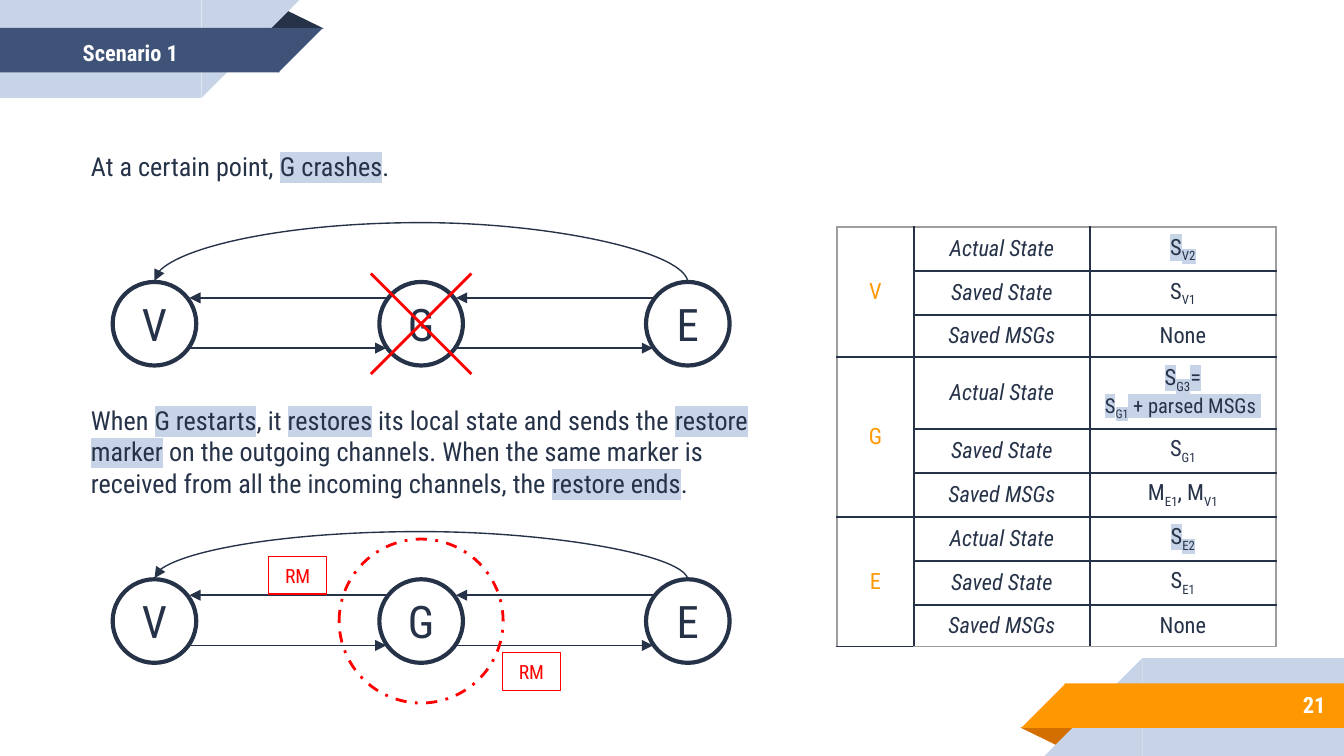
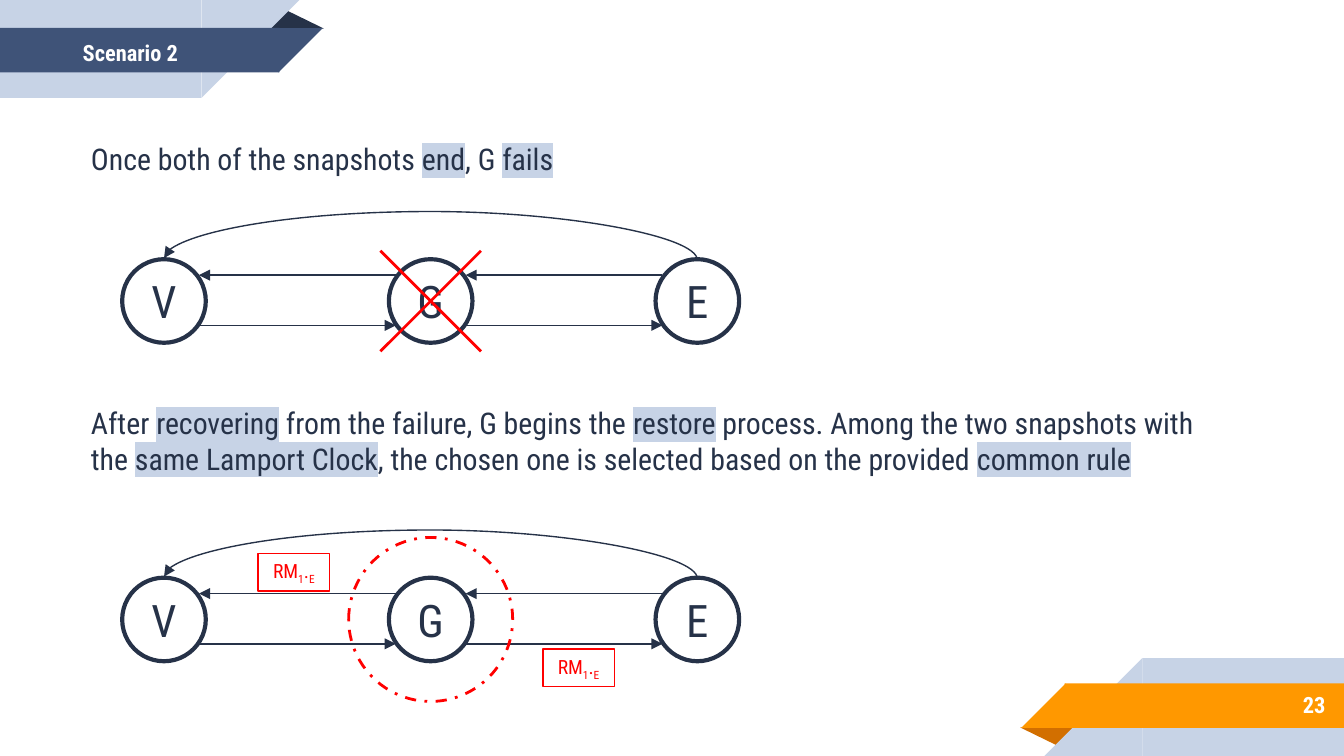
from dataclasses import dataclass
from itertools import pairwise

from lxml import etree
from pptx import Presentation
from pptx.dml.color import RGBColor
from pptx.enum.dml import MSO_LINE
from pptx.enum.shapes import MSO_CONNECTOR, MSO_SHAPE
from pptx.enum.text import MSO_ANCHOR, MSO_AUTO_SIZE, PP_ALIGN
from pptx.oxml.ns import qn
from pptx.shapes.autoshape import Shape
from pptx.shapes.connector import Connector
from pptx.slide import Slide
from pptx.table import _Cell
from pptx.text.text import TextFrame
from pptx.util import Cm, Pt

RECT, OVAL = MSO_SHAPE.RECTANGLE, MSO_SHAPE.OVAL
WEDGE, FOLD = MSO_SHAPE.RIGHT_TRIANGLE, MSO_SHAPE.ISOSCELES_TRIANGLE
LINE, CURVE = MSO_CONNECTOR.STRAIGHT, MSO_CONNECTOR.CURVE
LEFT, MID, RIGHT = PP_ALIGN.LEFT, PP_ALIGN.CENTER, PP_ALIGN.RIGHT
CENTRE, TOP = MSO_ANCHOR.MIDDLE, MSO_ANCHOR.TOP
FIXED, DASH = MSO_AUTO_SIZE.NONE, MSO_LINE.DASH_DOT

FONT = "Roboto Condensed"
NAVY, BLUE, PALE = "263248", "3F5378", "C7D3E6"
GOLD, RUST, RED = "FF9800", "D26F00", "FF0000"
GREY, WHITE = "9E9E9E", "FFFFFF"

WIDE, HIGH = 25.4, 14.29
STEP, DISC, RING, CROSS = 5.04, 1.58, 3.1, 0.95


@dataclass(frozen=True)
class Box:
    left: float
    top: float
    width: float
    height: float

    def sizes(self) -> tuple[Cm, Cm, Cm, Cm]:
        return Cm(self.left), Cm(self.top), Cm(self.width), Cm(self.height)

    def turned(self) -> "Box":
        return Box(WIDE - self.left - self.width, HIGH - self.top - self.height,
                   self.width, self.height)


@dataclass(frozen=True)
class Style:
    size: float
    colour: str = NAVY
    align: PP_ALIGN = LEFT
    bold: bool = False
    italic: bool = False


@dataclass(frozen=True)
class Band:
    kind: MSO_SHAPE
    box: Box
    head: str
    foot: str


@dataclass(frozen=True)
class Note:
    box: Box
    text: str


@dataclass(frozen=True)
class Net:
    left: float
    top: float
    lift: float
    down: bool


@dataclass(frozen=True)
class Scene:
    title: str
    page: str
    size: float
    notes: tuple[Note, ...]
    nets: tuple[Net, ...]
    marks: tuple[Note, ...]
    states: tuple[tuple[str, tuple[str, ...]], ...] = ()


BANDS = (
    Band(FOLD, Box(5.03, 0.18, 1.09, 0.36), NAVY, RUST),
    Band(RECT, Box(0, 0, 3.81, 1.85), PALE, PALE),
    Band(WEDGE, Box(3.81, 0, 1.85, 1.85), PALE, PALE),
    Band(RECT, Box(0, 0.53, 5.28, 0.84), BLUE, GOLD),
    Band(WEDGE, Box(5.26, 0.53, 0.84, 0.84), BLUE, GOLD),
)
KINDS = ("Actual State", "Saved State", "Saved MSGs")
SCENES = (
    Scene(
        "Scenario 1", "21", 14,
        (Note(Box(1.47, 2.72, 21.77, 0.86), "At a certain point, |G crashes|."),
         Note(Box(1.47, 7.52, 13.82, 2.06),
              "When |G restarts|, it |restores| its local state and sends the "
              "|restore marker| on the outgoing channels. When the same marker is "
              "received from all the incoming channels, the |restore ends|.")),
        (Net(2.13, 5.33, 1.14, True), Net(2.13, 10.95, 0.92, False)),
        (Note(Box(5.08, 10.52, 1.09, 0.71), "RM"),
         Note(Box(9.5, 12.34, 1.09, 0.71), "RM")),
        (("V", ("|S_V2_|", "S_V1_", "None")),
         ("G", ("|S_G3_=|\n|S_G1_ + parsed MSGs |", "S_G1_", "M_E1_, M_V1_")),
         ("E", ("|S_E2_|", "S_E1_", "None"))),
    ),
    Scene(
        "Scenario 2", "23", 16,
        (Note(Box(1.47, 2.54, 21.77, 0.94),
              "Once both of the snapshots |end|, G |fails|"),
         Note(Box(1.47, 7.52, 21.77, 1.63),
              "After |recovering| from the failure, G begins the |restore| process. "
              "Among the two snapshots with the |same Lamport Clock|, the chosen one "
              "is selected based on the provided |common rule|")),
        (Net(2.31, 4.9, 0.92, True), Net(2.31, 10.92, 0.92, False)),
        (Note(Box(4.88, 10.46, 1.35, 0.71), "RM_1_._E_"),
         Note(Box(10.26, 12.27, 1.35, 0.71), "RM_1_._E_")),
    ),
)


def paint(code: str) -> RGBColor:
    return RGBColor.from_string(code)


def write(frame: TextFrame, text: str, style: Style) -> None:
    para = frame.paragraphs[0]
    para.alignment = style.align
    for row, line in enumerate(text.split("\n")):
        if row:
            para.add_line_break()
        for lit, part in enumerate(line.split("|")):
            for low, piece in enumerate(part.split("_")):
                if not piece:
                    continue
                run = para.add_run()
                run.text = piece
                font = run.font
                font.name, font.size = FONT, Pt(style.size - row)
                font.bold, font.italic = style.bold, style.italic
                font.color.rgb = paint(style.colour)
                props = run._r.get_or_add_rPr()
                if low % 2:
                    props.set("baseline", "-25000")
                if lit % 2:
                    glow = etree.Element(qn("a:highlight"))
                    etree.SubElement(glow, qn("a:srgbClr"), val=PALE)
                    props.find(qn("a:solidFill")).addnext(glow)


def add_text(slide: Slide, note: Note, style: Style,
             anchor: MSO_ANCHOR = TOP) -> None:
    frame = slide.shapes.add_textbox(*note.box.sizes()).text_frame
    frame.word_wrap = True
    frame.vertical_anchor = anchor
    write(frame, note.text, style)


def add_shape(slide: Slide, kind: MSO_SHAPE, box: Box, fill: str = "",
              line: str = "", weight: float = 1) -> Shape:
    shape = slide.shapes.add_shape(kind, *box.sizes())
    shape.shadow.inherit = False
    if fill:
        shape.fill.solid()
        shape.fill.fore_color.rgb = paint(fill)
    else:
        shape.fill.background()
    if line:
        shape.line.color.rgb = paint(line)
        shape.line.width = Pt(weight)
    else:
        shape.line.fill.background()
    return shape


def add_line(slide: Slide, start: tuple[float, float], end: tuple[float, float],
             colour: str = NAVY, weight: float = 0.75, arrow: bool = True,
             kind: MSO_CONNECTOR = LINE) -> Connector:
    link = slide.shapes.add_connector(kind, *map(Cm, start + end))
    link.line.color.rgb = paint(colour)
    link.line.width = Pt(weight)
    props = link.element.spPr
    if arrow:
        etree.SubElement(props.find(qn("a:ln")), qn("a:tailEnd"), type="triangle")
    etree.SubElement(props, qn("a:effectLst"))
    return link


def add_arc(slide: Slide, net: Net) -> None:
    mid, span, thin = net.left + STEP + DISC / 2, 2 * STEP, 0.04
    link = add_line(slide, (mid - thin / 2, net.top + span / 2),
                    (mid + thin / 2, net.top - span / 2), kind=CURVE)
    props = link.element.spPr
    props.find(qn("a:xfrm")).set("rot", "16200000")
    geom = props.find(qn("a:prstGeom"))
    etree.SubElement(geom.get_or_add_avLst(), qn("a:gd"), name="adj1",
                     fmla=f"val {round(net.lift / thin * 100000)}")


def add_net(slide: Slide, net: Net) -> None:
    spots = [net.left + STEP * step for step in range(3)]
    for near, far in pairwise(spots):
        start, end = near + 1.45, far + 0.13
        add_line(slide, (end, net.top + 0.3), (start, net.top + 0.3))
        add_line(slide, (start, net.top + 1.25), (end, net.top + 1.25))
    for name, spot in zip("VGE", spots):
        disc = add_shape(slide, OVAL, Box(spot, net.top, DISC, DISC), "", NAVY, 2.25)
        disc.text_frame.word_wrap = False
        write(disc.text_frame, name, Style(24, align=MID))
    add_arc(slide, net)
    mid, core = spots[1] + DISC / 2, net.top + DISC / 2
    if net.down:
        for side in (CROSS, -CROSS):
            add_line(slide, (mid + side, core - CROSS), (mid - side, core + CROSS),
                     RED, 1.5, False)
    else:
        ring = add_shape(slide, OVAL, Box(mid - RING / 2, core - RING / 2, RING, RING),
                         "", RED, 1.5)
        ring.line.dash_style = DASH


def add_edges(cell: _Cell, outer: dict[str, bool]) -> None:
    cell.fill.background()
    props = cell._tc.get_or_add_tcPr()
    for place, (side, edge) in enumerate(outer.items()):
        line = etree.Element(qn(f"a:ln{side}"), w=str(Pt(1)))
        fill = etree.SubElement(line, qn("a:solidFill"))
        etree.SubElement(fill, qn("a:srgbClr"), val=GREY if edge else NAVY)
        props.insert(place, line)


def add_states(slide: Slide, states: tuple[tuple[str, tuple[str, ...]], ...]) -> None:
    count, widths = len(states) * len(KINDS), (1.45, 3.33, 3.51)
    box = Box(15.82, 4.29, sum(widths), count * 0.79)
    table = slide.shapes.add_table(count, len(widths), *box.sizes()).table
    table.first_row = table.horz_banding = False
    for col, width in zip(table.columns, widths):
        col.width = Cm(width)
    for row in range(count):
        for col in range(len(widths)):
            cell = table.cell(row, col)
            cell.vertical_anchor = CENTRE
            add_edges(cell, {"L": col == 0, "R": col == len(widths) - 1,
                             "T": row == 0, "B": row == count - 1})
    for group, (name, values) in enumerate(states):
        first = group * len(KINDS)
        head = table.cell(first, 0)
        head.merge(table.cell(first + len(KINDS) - 1, 0))
        write(head.text_frame, name, Style(12, GOLD, MID))
        for row, (kind, value) in enumerate(zip(KINDS, values), first):
            write(table.cell(row, 1).text_frame, kind, Style(12, align=MID, italic=True))
            write(table.cell(row, 2).text_frame, value, Style(12, align=MID))


def add_frame(slide: Slide, scene: Scene) -> None:
    for foot in (False, True):
        for band in BANDS:
            box = band.box.turned() if foot else band.box
            shape = add_shape(slide, band.kind, box, band.foot if foot else band.head)
            if band.kind == FOLD:
                shape.adjustments[0] = 0.324
                shape.rotation = 180 if foot else 0
            elif band.kind == WEDGE:
                shape.rotation = 0 if foot else 180
                shape.element.spPr.find(qn("a:xfrm")).set("flipH", "1")
    add_text(slide, Note(Box(21.16, 12.88, 4.14, 0.89), scene.page),
             Style(12, WHITE, RIGHT, True), CENTRE)
    title = slide.shapes.title
    title.left, title.top, title.width, title.height = Box(-0.28, 0.58, 5.49, 0.84).sizes()
    frame = title.text_frame
    frame.auto_size, frame.vertical_anchor = FIXED, CENTRE
    write(frame, scene.title, Style(12, WHITE, MID, True))
    title.element.getparent().append(title.element)


def add_scene(slide: Slide, scene: Scene) -> None:
    add_frame(slide, scene)
    for note in scene.notes:
        add_text(slide, note, Style(scene.size))
    if scene.states:
        add_states(slide, scene.states)
    for net in scene.nets:
        add_net(slide, net)
    for mark in scene.marks:
        shape = add_shape(slide, RECT, mark.box, "", RED, 0.75)
        shape.text_frame.word_wrap = False
        write(shape.text_frame, mark.text, Style(10.5, RED, MID))


def main() -> None:
    deck = Presentation()
    deck.slide_width, deck.slide_height = Cm(WIDE), Cm(HIGH)
    for scene in SCENES:
        add_scene(deck.slides.add_slide(deck.slide_layouts[5]), scene)
    deck.save("out.pptx")


if __name__ == "__main__":
    main()
